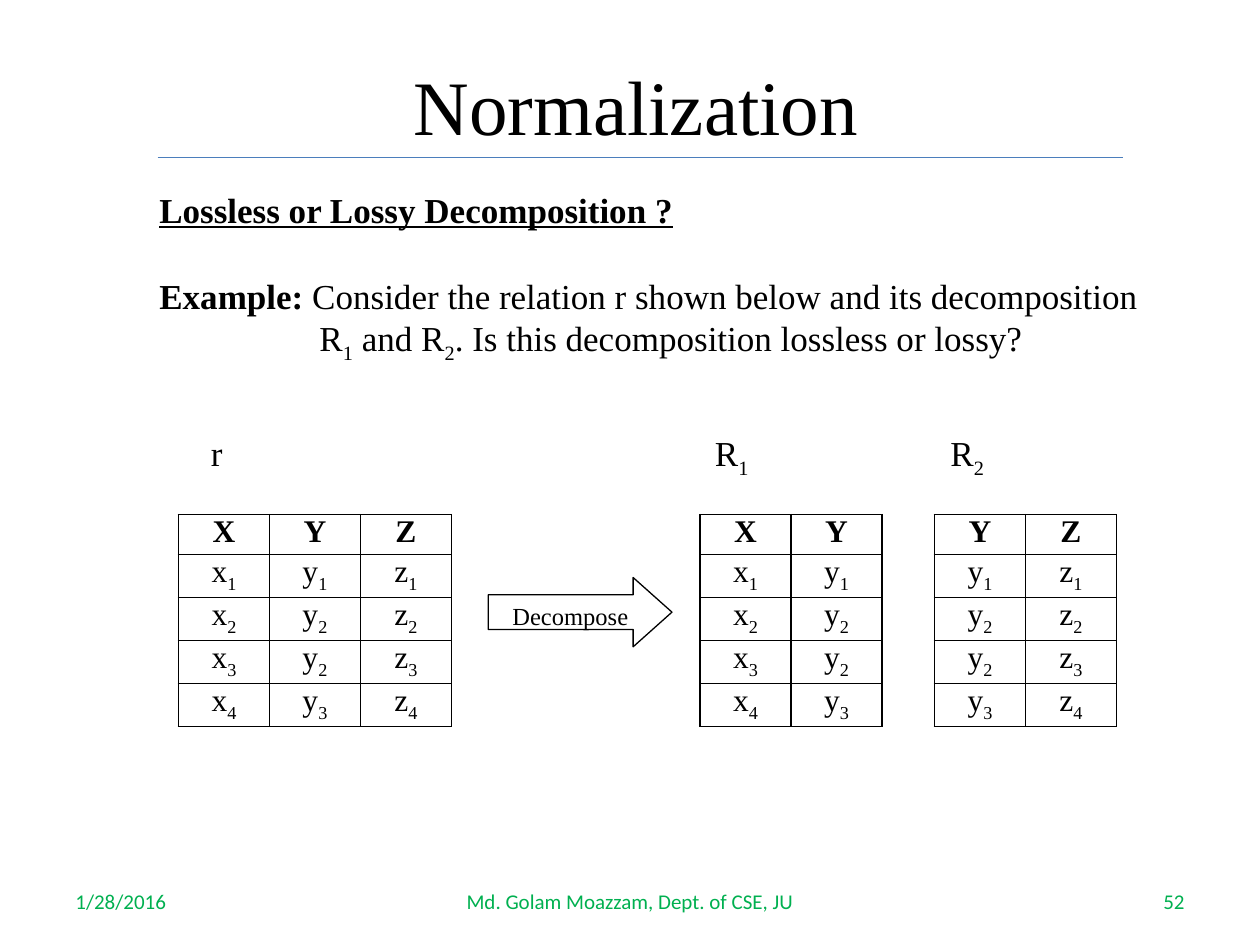
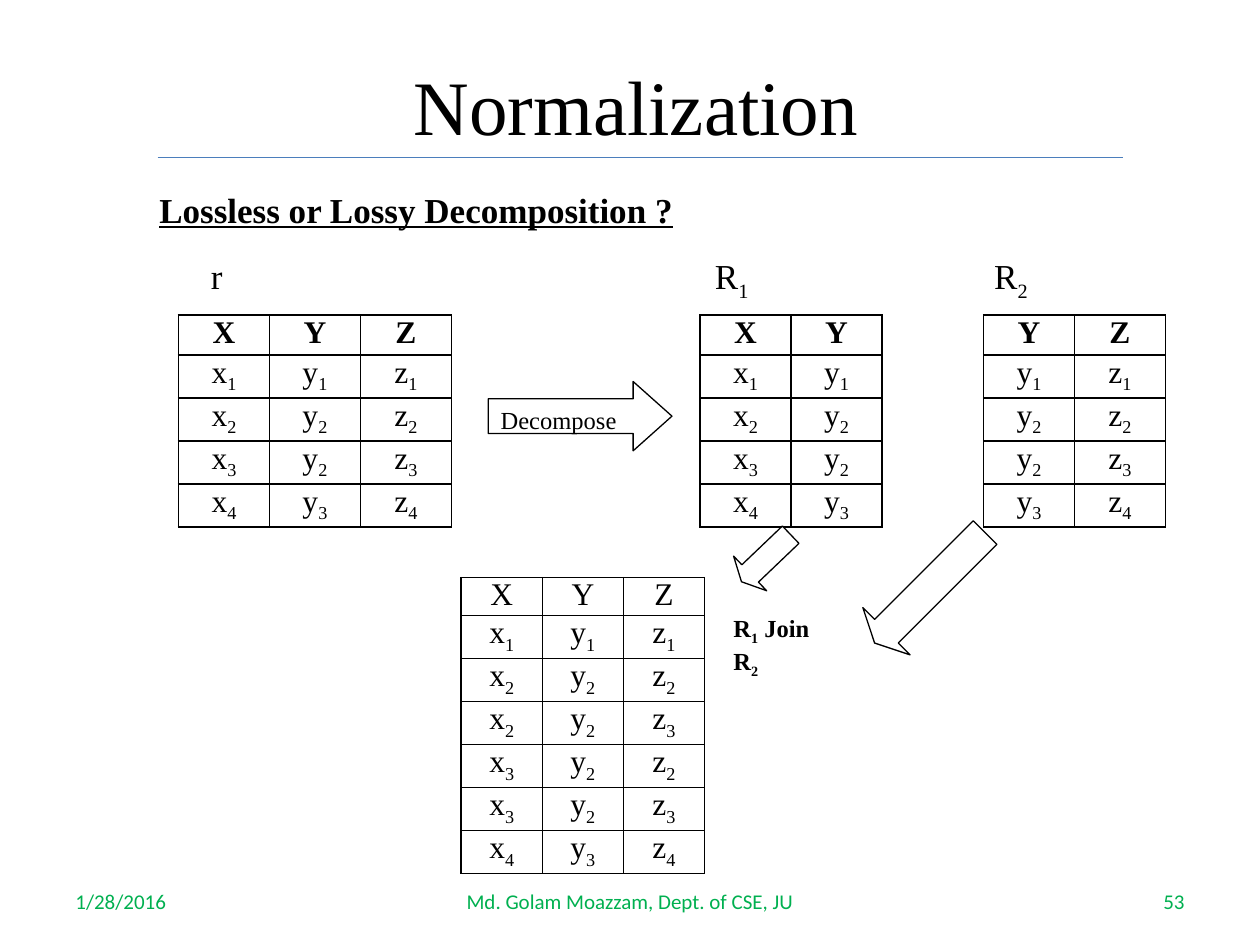
from dataclasses import dataclass

from lxml import etree
from pptx import Presentation
from pptx.dml.color import RGBColor
from pptx.enum.shapes import MSO_CONNECTOR, MSO_SHAPE
from pptx.enum.text import MSO_ANCHOR, PP_ALIGN
from pptx.oxml.ns import qn
from pptx.util import Pt

BLACK = RGBColor(0x00, 0x00, 0x00)
WHITE = RGBColor(0xFF, 0xFF, 0xFF)
GREEN = RGBColor(0x00, 0xB0, 0x50)
RULE_BLUE = RGBColor(0x4B, 0x7E, 0xBC)

SERIF = "Times New Roman"
SANS = "Calibri"

LEFT, CENTER, RIGHT = PP_ALIGN.LEFT, PP_ALIGN.CENTER, PP_ALIGN.RIGHT
TOP, MIDDLE, BOTTOM = MSO_ANCHOR.TOP, MSO_ANCHOR.MIDDLE, MSO_ANCHOR.BOTTOM
RIGHT_ARROW = MSO_SHAPE.RIGHT_ARROW
STRAIGHT = MSO_CONNECTOR.STRAIGHT

HEADING = "Lossless or Lossy Decomposition ?"
EXAMPLE = (" Consider the relation r shown below and its decomposition "
           "R_1 and R_2. Is this decomposition lossless or lossy?")
COL_W, ROW_H = 52, 22.8
JOIN_COL_W, JOIN_ROW_H = 46.4, 19.5

# The relation, its two projections and their natural join
R = [("x_1", "y_1", "z_1"), ("x_2", "y_2", "z_2"),
     ("x_3", "y_2", "z_3"), ("x_4", "y_3", "z_4")]
R1 = [(x, y) for x, y, z in R]
R2 = [(y, z) for x, y, z in R]
JOIN = [(x, y, z) for x, y in R1 for key, z in R2 if key == y]


@dataclass(frozen=True)
class Box:
    left: float
    top: float
    width: float
    height: float

    def emu(self) -> tuple:
        return Pt(self.left), Pt(self.top), Pt(self.width), Pt(self.height)


@dataclass(frozen=True)
class Style:
    size: float
    color: RGBColor = BLACK
    name: str = SERIF
    bold: bool = False
    underline: bool = False


@dataclass(frozen=True)
class Grid:
    left: float
    top: float
    header: str
    rows: list
    col_w: float = COL_W
    row_h: float = ROW_H
    bold_header: bool = True


@dataclass(frozen=True)
class Arrow:
    box: Box
    head: float
    rotation: float = 0


TITLE = Style(44)
HEAD = Style(20, bold=True, underline=True)
BODY = Style(20)
BODY_BOLD = Style(20, bold=True)
CELL = Style(18)
CELL_BOLD = Style(18, bold=True)
NOTE = Style(14)
NOTE_BOLD = Style(14, bold=True)
FOOTER = Style(12, GREEN, SANS)


def add_runs(p, text: str, style: Style) -> None:
    """Add text in which an underscore makes the next character a subscript."""
    first, *rest = text.split("_")
    pieces = [(first, False)]
    for part in rest:
        pieces += [(part[0], True), (part[1:], False)]
    for piece, is_sub in pieces:
        if not piece:
            continue
        r = p.add_run()
        r.text = piece
        f = r.font
        f.name, f.size, f.bold = style.name, Pt(style.size), style.bold
        f.underline = style.underline
        f.color.rgb = style.color
        if is_sub:
            r._r.get_or_add_rPr().set("baseline", "-25000")


def add_text(s, box: Box, text: str, style: Style, align=LEFT,
             anchor=TOP, wrap: bool = True):
    tf = s.shapes.add_textbox(*box.emu()).text_frame
    tf.word_wrap = wrap
    tf.vertical_anchor = anchor
    p = tf.paragraphs[0]
    p.alignment = align
    add_runs(p, text, style)
    return tf


def add_frame(s, number: int) -> None:
    """Title, rule and footers of every slide."""
    add_text(s, Box(96, 27, 546, 63), "Normalization ", TITLE, CENTER, BOTTOM)
    line = s.shapes.add_connector(STRAIGHT, Pt(90), Pt(90), Pt(642), Pt(90))
    line.line.color.rgb = RULE_BLUE
    line.line.width = Pt(0.75)
    etree.SubElement(line._element.spPr, qn("a:effectLst"))
    footers = [(36, 168, "1/28/2016", LEFT), (516, 168, str(number), RIGHT),
               (246, 228, "Md. Golam Moazzam, Dept. of CSE, JU", CENTER)]
    for left, width, text, align in footers:
        add_text(s, Box(left, 500.5, width, 28.8), text, FOOTER, align, MIDDLE)


def add_example(tf) -> None:
    p = tf.add_paragraph()
    p.space_before = Pt(25.5)
    pPr = p._p.get_or_add_pPr()
    pPr.set("marL", str(Pt(91.5)))
    pPr.set("indent", str(-Pt(91.5)))
    add_runs(p, "Example:", BODY_BOLD)
    add_runs(p, EXAMPLE, BODY)


def add_labels(tf, gap: float, r2_tab: float) -> None:
    """Names of the relations, set on tab stops above their tables."""
    p = tf.add_paragraph()
    p.space_before = Pt(gap)
    tabs = etree.SubElement(p._p.get_or_add_pPr(), qn("a:tabLst"))
    for pos in (29.5, 317.5, r2_tab):
        etree.SubElement(tabs, qn("a:tab"), pos=str(Pt(pos)), algn="l")
    add_runs(p, "\tr\tR_1\tR_2", BODY)


def add_borders(cell) -> None:
    tcPr = cell._tc.get_or_add_tcPr()
    for i, side in enumerate(("lnL", "lnR", "lnT", "lnB")):
        ln = etree.Element(qn(f"a:{side}"), w=str(Pt(1)))
        fill = etree.SubElement(ln, qn("a:solidFill"))
        etree.SubElement(fill, qn("a:srgbClr"), val=str(BLACK))
        tcPr.insert(i, ln)


def add_grid(s, grid: Grid) -> None:
    rows = [tuple(grid.header), *grid.rows]
    n_rows, n_cols = len(rows), len(grid.header)
    box = Box(grid.left, grid.top, n_cols * grid.col_w, n_rows * grid.row_h)
    table = s.shapes.add_table(n_rows, n_cols, *box.emu()).table
    table.first_row = table.horz_banding = False
    for column in table.columns:
        column.width = Pt(grid.col_w)
    for i, values in enumerate(rows):
        table.rows[i].height = Pt(grid.row_h)
        style = CELL_BOLD if i == 0 and grid.bold_header else CELL
        for j, value in enumerate(values):
            cell = table.cell(i, j)
            cell.fill.background()
            cell.margin_left = cell.margin_right = Pt(5)
            cell.margin_top = cell.margin_bottom = 0
            p = cell.text_frame.paragraphs[0]
            p.alignment = CENTER
            add_runs(p, value, style)
            add_borders(cell)


def add_arrow(s, arrow: Arrow):
    sp = s.shapes.add_shape(RIGHT_ARROW, *arrow.box.emu())
    sp.shadow.inherit = False
    sp.adjustments[0], sp.adjustments[1] = 0.5, arrow.head
    sp.rotation = arrow.rotation
    sp.fill.solid()
    sp.fill.fore_color.rgb = WHITE
    sp.line.color.rgb = BLACK
    sp.line.width = Pt(0.75)
    return sp


def add_decomposition(s, top: float, r2_left: float, arrow_top: float,
                      align) -> None:
    """Relation r, the Decompose arrow, and the relations R1 and R2."""
    for grid in (Grid(102, top, "XYZ", R), Grid(400, top, "XY", R1),
                 Grid(r2_left, top, "YZ", R2)):
        add_grid(s, grid)
    sp = add_arrow(s, Arrow(Box(279, arrow_top, 105, 39.6), 0.56))
    sp.fill.background()
    tf = sp.text_frame
    tf.word_wrap = True
    tf.vertical_anchor = TOP
    p = tf.paragraphs[0]
    p.alignment = align
    add_runs(p, "Decompose", NOTE)


def add_question_slide(prs) -> None:
    s = prs.slides.add_slide(prs.slide_layouts[6])
    add_frame(s, 52)
    tf = add_text(s, Box(84, 104, 576, 150), HEADING, HEAD)
    add_example(tf)
    add_labels(tf, gap=38.5, r2_tab=452)
    add_decomposition(s, 294, 534, 330, CENTER)


def add_join_slide(prs) -> None:
    s = prs.slides.add_slide(prs.slide_layouts[6])
    add_frame(s, 53)
    tf = add_text(s, Box(84, 104, 576, 90), HEADING, HEAD)
    add_labels(tf, gap=14, r2_tab=477)
    add_decomposition(s, 180, 562, 218, LEFT)
    # Join of the two projections
    add_grid(s, Grid(263.5, 330, "XYZ", JOIN, JOIN_COL_W, JOIN_ROW_H, False))
    for arrow in (Arrow(Box(418.3, 305.3, 38.9, 27.4), 0.25, 136.3),
                  Arrow(Box(486.7, 316.8, 89.3, 38.2), 0.25, 135)):
        add_arrow(s, arrow)
    add_text(s, Box(412, 346.5, 59, 18), "R_1 Join R_2", NOTE_BOLD, wrap=False)


def main() -> None:
    prs = Presentation()
    prs.slide_width, prs.slide_height = Pt(720), Pt(540)
    add_question_slide(prs)
    add_join_slide(prs)
    prs.save("out.pptx")


if __name__ == "__main__":
    main()
